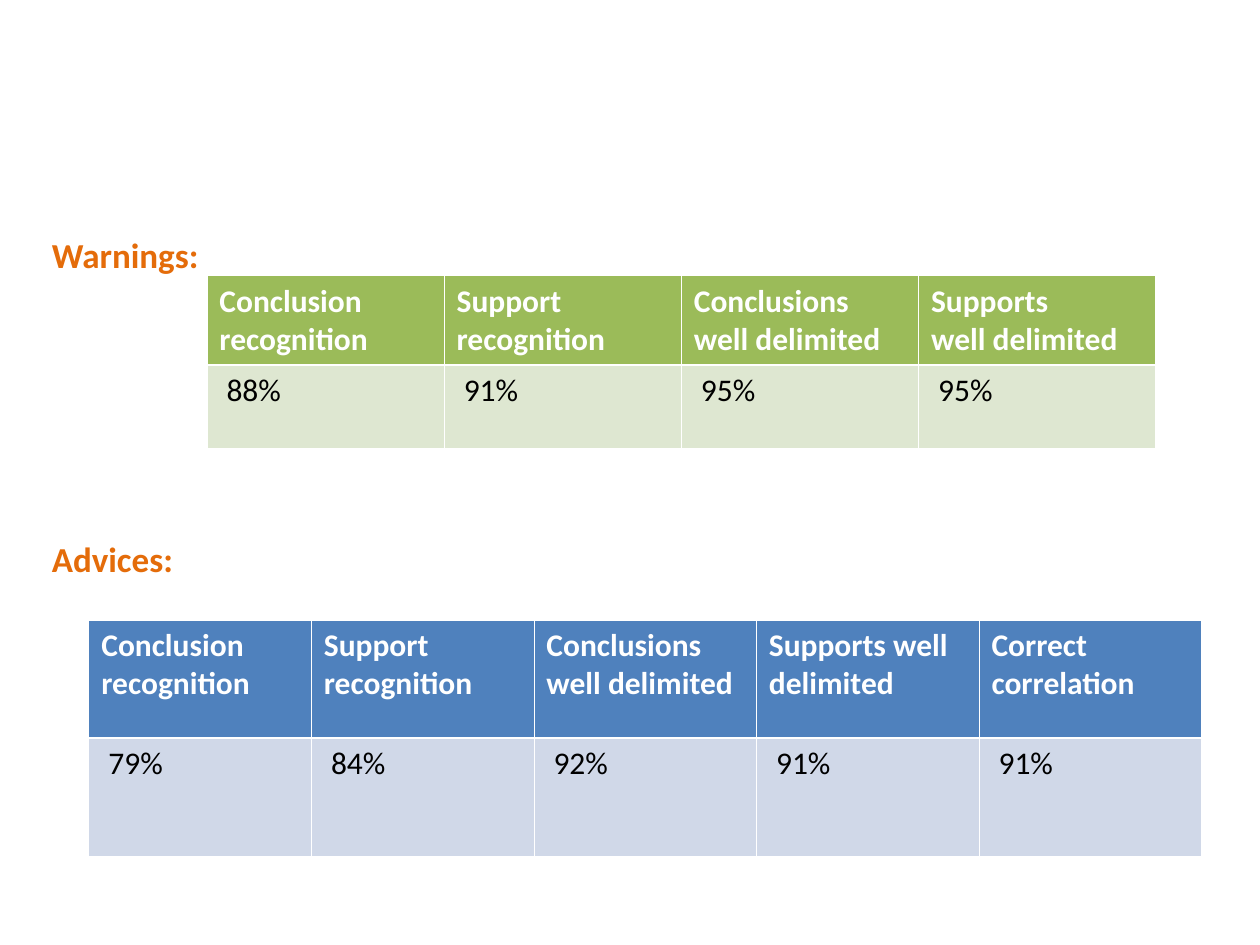
from dataclasses import dataclass

from lxml import etree
from pptx import Presentation
from pptx.dml.color import RGBColor
from pptx.enum.text import MSO_ANCHOR, MSO_AUTO_SIZE, PP_ALIGN
from pptx.oxml.ns import qn
from pptx.util import Cm, Pt

TOP = MSO_ANCHOR.TOP
LEFT = PP_ALIGN.LEFT
NO_AUTOFIT = MSO_AUTO_SIZE.NONE

WHITE = RGBColor(0xFF, 0xFF, 0xFF)
BLACK = RGBColor(0x00, 0x00, 0x00)
ORANGE = RGBColor(0xE4, 0x6C, 0x0A)
GREEN = RGBColor(0x9B, 0xBB, 0x59)
PALE_GREEN = RGBColor(0xDE, 0xE7, 0xD1)
BLUE = RGBColor(0x4F, 0x81, 0xBD)
PALE_BLUE = RGBColor(0xD0, 0xD8, 0xE8)

FONT = "Calibri"
THIN = Pt(0.45)
THICK = Pt(1.47)


@dataclass(frozen=True)
class ResultTable:
    left: float
    top: float
    width: float
    row_heights: tuple[float, float]
    header_fill: RGBColor
    value_fill: RGBColor
    headers: tuple[str, ...]
    values: tuple[str, ...]


WARNINGS = ResultTable(
    4.17, 5.56, 19.13, (1.78, 1.68), GREEN, PALE_GREEN,
    ("Conclusion\nrecognition", "Support recognition",
     "Conclusions\nwell delimited", "Supports\nwell delimited"),
    (" 88%", " 91%", " 95%", " 95%"),
)
ADVICES = ResultTable(
    1.79, 12.5, 22.43, (2.38, 2.38), BLUE, PALE_BLUE,
    ("Conclusion\nrecognition", "Support\nrecognition",
     "Conclusions\nwell delimited", "Supports well delimited",
     "Correct correlation"),
    (" 79%", " 84%", " 92%", " 91%", " 91%"),
)


def write_text(frame, text: str, *, size: float, color: RGBColor,
               bold: bool = False, gap: float = 0) -> None:
    """Write one paragraph per line, with a gap in points between them."""
    frame.text = text
    for index, para in enumerate(frame.paragraphs):
        para.alignment = LEFT
        para.space_before = Pt(gap if index else 0)
        for span in para.runs:
            span.font.name = FONT
            span.font.size = Pt(size)
            span.font.bold = bold
            span.font.color.rgb = color


def set_borders(cell, top: int, bottom: int) -> None:
    """Draw white lines around a cell; they must come before its fill."""
    properties = cell._tc.get_or_add_tcPr()
    widths = {"a:lnL": THIN, "a:lnR": THIN, "a:lnT": top, "a:lnB": bottom}
    for index, (tag, width) in enumerate(widths.items()):
        line = etree.Element(qn(tag), w=str(int(width)))
        fill = etree.SubElement(line, qn("a:solidFill"))
        etree.SubElement(fill, qn("a:srgbClr"), val=str(WHITE))
        properties.insert(index, line)


def add_headings(slide) -> None:
    """Put both section headings in the body placeholder."""
    body = slide.placeholders[1]
    body.left, body.top = Cm(0.79), Cm(4.57)
    body.width, body.height = Cm(22.86), Cm(12.57)
    frame = body.text_frame
    frame.word_wrap = True
    frame.auto_size = NO_AUTOFIT
    frame.vertical_anchor = TOP
    write_text(frame, "Warnings:\nAdvices:", size=20, color=ORANGE,
               bold=True, gap=150)
    for para in frame.paragraphs:
        properties = para._p.get_or_add_pPr()
        properties.set("marL", str(Cm(0.97)))
        properties.set("indent", str(Cm(-0.97)))
        etree.SubElement(properties, qn("a:buNone"))


def add_result_table(slide, result: ResultTable) -> None:
    """Draw a header row and a value row with equal columns."""
    count = len(result.headers)
    table = slide.shapes.add_table(
        2, count, Cm(result.left), Cm(result.top),
        Cm(result.width), Cm(sum(result.row_heights))).table
    for column in table.columns:
        column.width = Cm(result.width / count)
    for row, height in zip(table.rows, result.row_heights):
        row.height = Cm(height)

    rows = (
        (result.headers, result.header_fill, WHITE, True, THIN, THICK),
        (result.values, result.value_fill, BLACK, False, THICK, THIN),
    )
    for row, (texts, fill, color, bold, top, bottom) in zip(table.rows, rows):
        for cell, text in zip(row.cells, texts):
            write_text(cell.text_frame, text, size=18, color=color, bold=bold)
            cell.vertical_anchor = TOP
            cell.fill.solid()
            cell.fill.fore_color.rgb = fill
            set_borders(cell, top, bottom)


def main() -> None:
    deck = Presentation()
    deck.slide_width, deck.slide_height = Cm(25.4), Cm(19.05)
    page = deck.slides.add_slide(deck.slide_layouts[1])

    # The page has no title
    title = page.shapes.title.element
    title.getparent().remove(title)

    # Headings, then the table under each of them
    add_headings(page)
    for result in (WARNINGS, ADVICES):
        add_result_table(page, result)

    deck.save("out.pptx")


if __name__ == "__main__":
    main()
